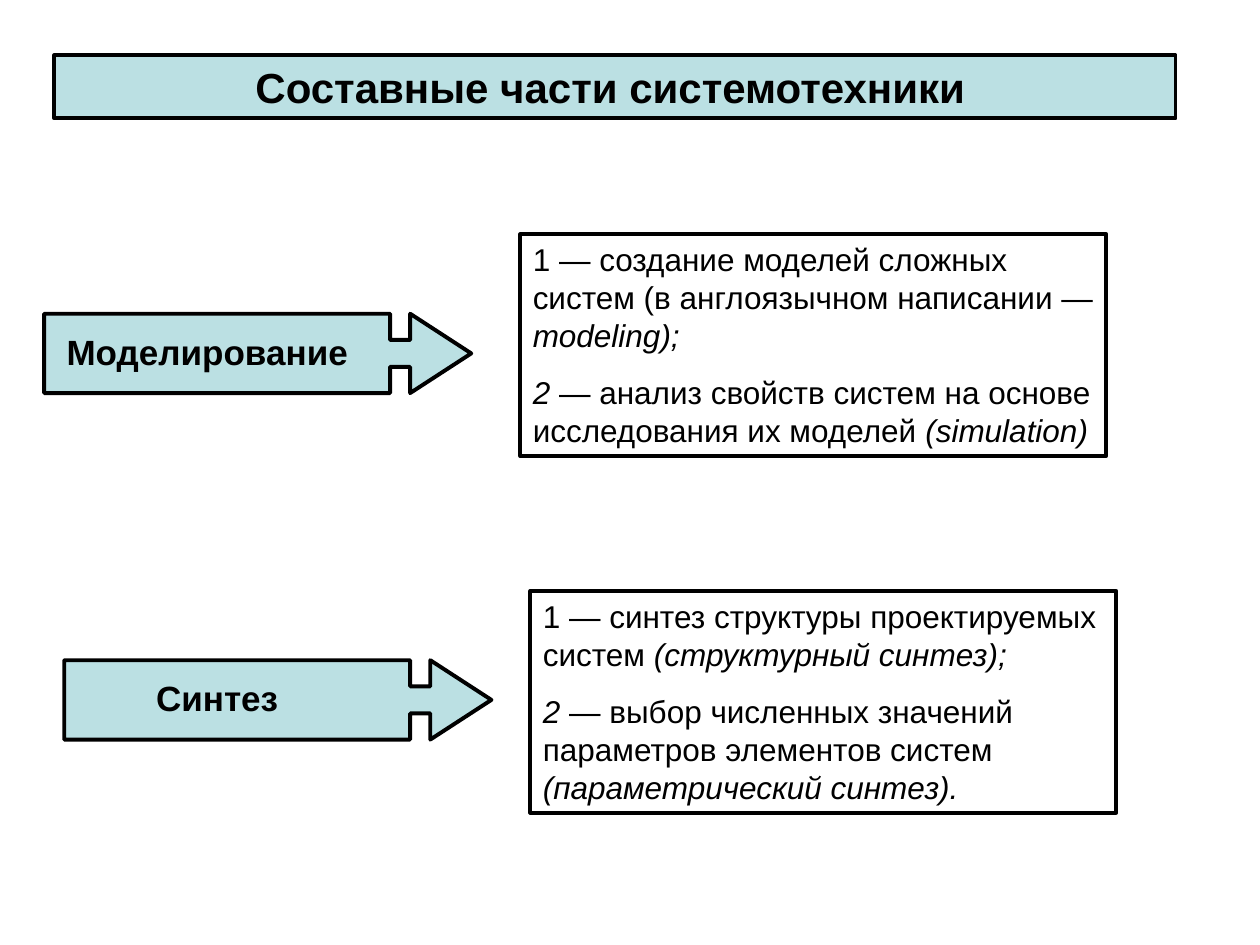
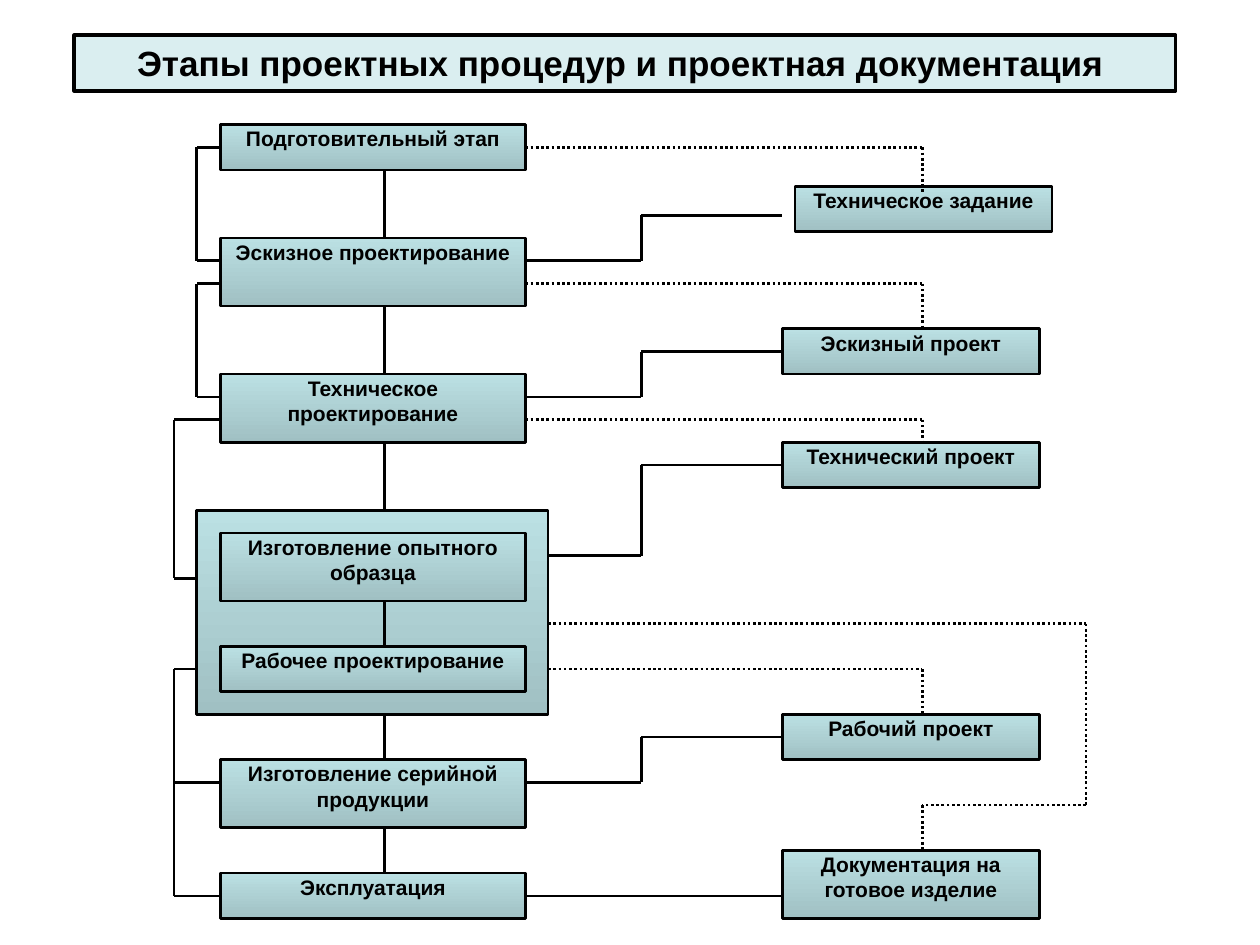
"""Build two slides on systems engineering: its parts and its design stages."""
from dataclasses import dataclass
from itertools import pairwise
from typing import NamedTuple

from lxml.etree import SubElement
from pptx import Presentation
from pptx.dml.color import RGBColor as Rgb
from pptx.enum.dml import MSO_LINE_DASH_STYLE as Dash
from pptx.enum.shapes import MSO_CONNECTOR as Link, MSO_SHAPE as Form
from pptx.enum.text import MSO_ANCHOR as Anchor, PP_ALIGN as Align
from pptx.oxml.ns import qn
from pptx.util import Inches, Pt


@dataclass(frozen=True)
class Theme:
    font: str = "Arial"
    ink: Rgb = Rgb(0, 0, 0)
    teal: Rgb = Rgb(0xBB, 0xE0, 0xE3)
    dusk: Rgb = Rgb(0xA0, 0xC0, 0xC3)
    pale: Rgb = Rgb(0xDA, 0xEE, 0xF0)
    head: int = 24
    label: int = 20
    body: int = 18
    small: int = 12
    gap: float = 11.2
    thick: float = 2.25
    thin: float = 1.5


class Area(NamedTuple):
    left: float
    top: float
    width: float
    height: float


class Part(NamedTuple):
    name: str
    arrow: Area
    label: Area
    note: Area
    lines: list


class Stage(NamedTuple):
    text: str
    row: float
    rows: int = 2


class Wire(NamedTuple):
    points: list
    dots: bool = False


THEME = Theme()
PAD = (0.1, 0.05, 0.1, 0.05)
HEAD_PAD = (0.1, 0.05, 0.17, 0.05)
TIGHT = (0.01,) * 4

PARTS = [
    Part("Моделирование", Area(0.35, 2.49, 3.39, 0.63),
         Area(0.43, 2.57, 2.76, 0.44), Area(4.13, 1.86, 4.65, 1.76),
         [[("1 — создание моделей сложных систем (в англоязычном написании — ", False),
           ("modeling);", True)],
          [("2 ", True), ("— анализ свойств систем на основе исследования их моделей ", False),
           ("(simulation)", True)]]),
    Part("Синтез", Area(0.51, 5.24, 3.39, 0.63),
         Area(1.14, 5.32, 1.25, 0.44), Area(4.21, 4.69, 4.65, 1.76),
         [[("1 — синтез структуры проектируемых систем ", False),
           ("(структурный синтез);", True)],
          [("2 ", True), ("— выбор численных значений параметров элементов систем ", False),
           ("(параметрический синтез).", True)]]),
]

STAGES = [
    Stage("Подготовительный этап", 5),
    Stage("Эскизное проектирование", 10, 3),
    Stage("Техническое проектирование", 16, 3),
    Stage("Изготовление опытного образца", 23, 3),
    Stage("Рабочее проектирование", 28),
    Stage("Изготовление серийной продукции", 33, 3),
    Stage("Эксплуатация", 38),
]
PAPERS = [
    Stage("Эскизный проект", 14),
    Stage("Технический проект", 19),
    Stage("Рабочий проект", 31),
    Stage("Документация на готовое изделие", 37, 3),
]
TASK = Stage("Техническое задание", 7.72)

FAR, NEAR, LEFT, STEM, RIGHT, EDGE = 1.38, 1.56, 1.75, 3.05, 4.17, 4.35
BEND, DOC, DROP, LOOP = 5.09, 6.21, 7.32, 8.62
STAGE_W, DOC_W, TASK_X = 2.42, 2.04, 6.31

STEMS = [(7, 10), (13, 16), (19, 22), (26, 28), (31, 33), (36, 38)]
HOOKS = [(LEFT, NEAR, 6, LEFT, 11), (LEFT, NEAR, 12, LEFT, 17),
         (LEFT, FAR, 18, NEAR, 25), (NEAR, FAR, 29, LEFT, 39)]
BENDS = [(RIGHT, 11, 9), (RIGHT, 17, 15), (EDGE, 24, 20), (RIGHT, 34, 32)]
DROPS = [(RIGHT, 6, 8), (RIGHT, 12, 14), (RIGHT, 18, 19), (EDGE, 29, 31)]
WIRES = [
    *(Wire([(STEM, top), (STEM, end)]) for top, end in STEMS),
    *(Wire([(start, top), (turn, top), (turn, end), (stop, end)])
      for start, turn, top, stop, end in HOOKS),
    Wire([(FAR, 34), (LEFT, 34)]),
    Wire([(RIGHT, 39), (DOC, 39)]),
    *(Wire([(start, low), (BEND, low), (BEND, high), (DOC, high)])
      for start, low, high in BENDS),
    *(Wire([(start, top), (DROP, top), (DROP, end)], True) for start, top, end in DROPS),
    Wire([(EDGE, 27), (LOOP, 27), (LOOP, 35), (DROP, 35), (DROP, 37)], True),
]


def row_y(row: float) -> float:
    """Turn a grid row into inches from the top."""
    return 0.09 + 0.18 * row


def span(area: Area) -> list:
    """Give the four lengths of an area."""
    return [Inches(value) for value in area]


def write(shape, text: str | list, *, size: int, bold: bool = False,
          align: Align = Align.LEFT, pad: tuple = PAD) -> None:
    """Write a string, or paragraphs of (text, italic) runs."""
    frame = shape.text_frame
    frame.word_wrap = True
    frame.vertical_anchor = Anchor.TOP
    (frame.margin_left, frame.margin_top,
     frame.margin_right, frame.margin_bottom) = map(Inches, pad)
    lines = [[(text, False)]] if isinstance(text, str) else text
    for index, line in enumerate(lines):
        para = frame.add_paragraph() if index else frame.paragraphs[0]
        para.alignment = align
        if index:
            para.space_before = Pt(THEME.gap)
        for words, slant in line:
            run = para.add_run()
            run.text = words
            font = run.font
            font.name, font.size = THEME.font, Pt(size)
            font.bold, font.italic = bold, slant
            font.color.rgb = THEME.ink


def draw(slide, area: Area, *, form: Form = Form.RECTANGLE, fill: Rgb | None = None,
         shade: bool = False, width: float = THEME.thick):
    """Draw an outlined shape with a plain, shaded or empty fill."""
    shape = slide.shapes.add_shape(form, *span(area))
    shape.shadow.inherit = False
    shape.line.color.rgb = THEME.ink
    shape.line.width = Pt(width)
    if shade:
        shape.fill.gradient()
        shape.fill.gradient_angle = 270
        for stop, tone in zip(shape.fill.gradient_stops, (THEME.teal, THEME.dusk)):
            stop.color.rgb = tone
    elif fill is None:
        shape.fill.background()
    else:
        shape.fill.solid()
        shape.fill.fore_color.rgb = fill
    return shape


def add_head(slide, text: str, area: Area, *, size: int, fill: Rgb) -> None:
    """Draw the title band."""
    write(draw(slide, area, fill=fill), text, size=size, bold=True,
          align=Align.CENTER, pad=HEAD_PAD)


def add_part(slide, part: Part) -> None:
    """Draw an arrow with its label and note."""
    arrow = draw(slide, part.arrow, form=Form.RIGHT_ARROW_CALLOUT, fill=THEME.teal)
    for index, value in enumerate((0.34, 0.5, 0.77, 0.81)):
        arrow.adjustments[index] = value
    write(slide.shapes.add_textbox(*span(part.label)), part.name,
          size=THEME.label, bold=True)
    write(draw(slide, part.note), part.lines, size=THEME.body)


def add_stage(slide, stage: Stage, left: float, width: float) -> None:
    """Draw one box of the chart."""
    area = Area(left, row_y(stage.row), width, 0.18 * stage.rows)
    write(draw(slide, area, shade=True, width=THEME.thin), stage.text,
          size=THEME.small, bold=True, align=Align.CENTER, pad=TIGHT)


def add_wire(slide, wire: Wire) -> None:
    """Join the points of a wire with straight lines."""
    for (x1, row1), (x2, row2) in pairwise(wire.points):
        ends = map(Inches, (x1, row_y(row1), x2, row_y(row2)))
        link = slide.shapes.add_connector(Link.STRAIGHT, *ends)
        link.line.color.rgb = THEME.ink
        link.line.width = Pt(THEME.thin)
        if wire.dots:
            link.line.dash_style = Dash.ROUND_DOT
        SubElement(link._element.spPr, qn("a:effectLst"))


def main() -> None:
    """Build and save the slides."""
    deck = Presentation()
    deck.slide_width, deck.slide_height = Inches(10), Inches(7.5)
    blank = deck.slide_layouts[6]

    slide = deck.slides.add_slide(blank)
    for part in PARTS:
        add_part(slide, part)
    add_head(slide, "Составные части системотехники", Area(0.43, 0.44, 8.9, 0.5),
             size=THEME.head, fill=THEME.teal)

    slide = deck.slides.add_slide(blank)
    draw(slide, Area(NEAR, row_y(22), EDGE - NEAR, 1.62), shade=True, width=THEME.thin)
    for stage in STAGES:
        add_stage(slide, stage, LEFT, STAGE_W)
    for paper in PAPERS:
        add_stage(slide, paper, DOC, DOC_W)
    add_stage(slide, TASK, TASK_X, DOC_W)
    for wire in WIRES:
        add_wire(slide, wire)
    add_head(slide, "Этапы проектных процедур и проектная документация",
             Area(0.59, 0.28, 8.74, 0.44), size=THEME.label, fill=THEME.pale)

    deck.save("out.pptx")


if __name__ == "__main__":
    main()
